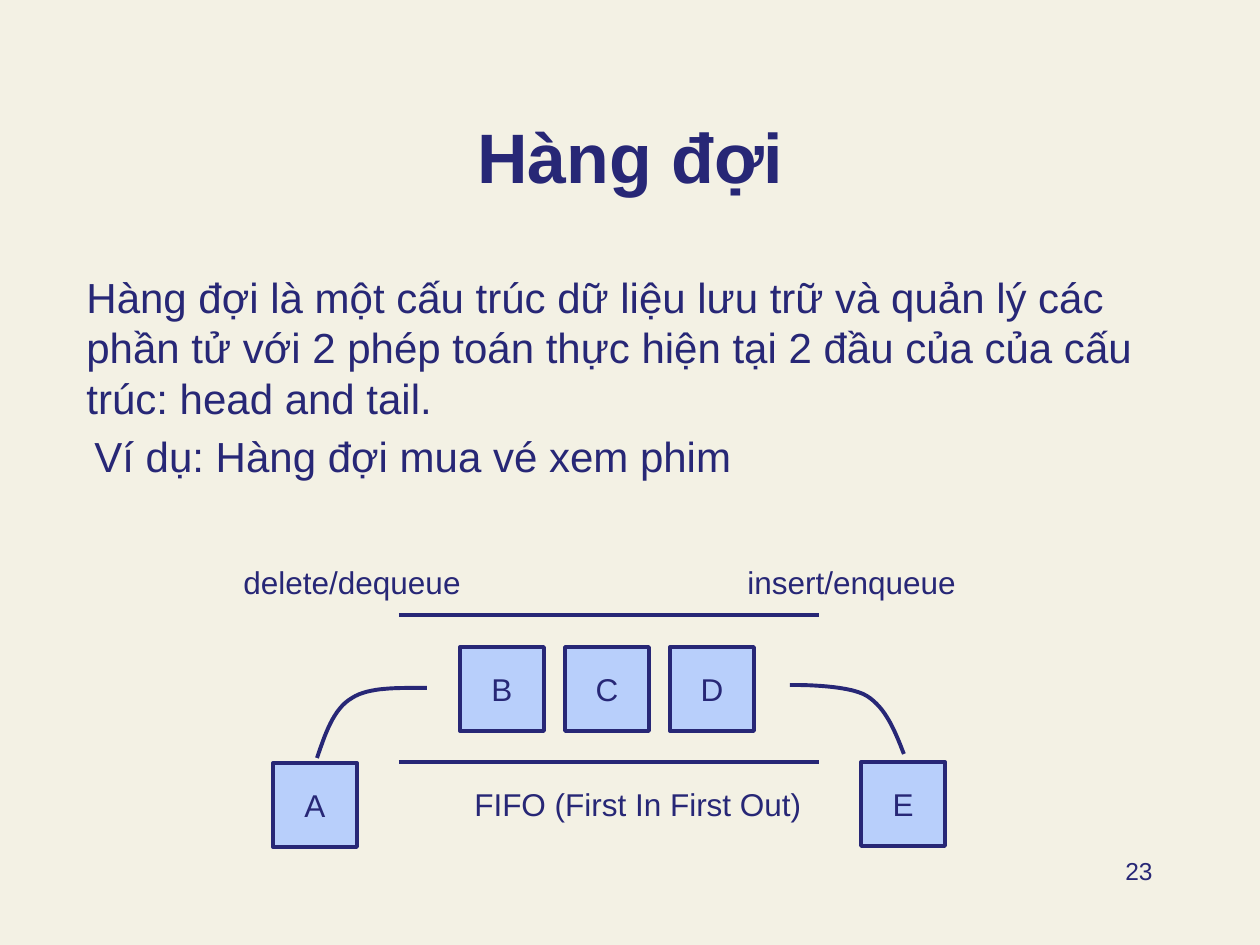
"""Builds a slide that explains the queue data structure with a FIFO diagram."""
import pptx
import pptx.util
import pptx.dml.color
import pptx.enum.shapes
import pptx.enum.text
import lxml.etree
import dataclasses


@dataclasses.dataclass(frozen=True)
class Theme:
    background: str = "F3F1E4"
    ink: str = "272776"
    box: str = "B8CFFB"
    font: str = "Arial"
    title: int = 40
    body: int = 24
    label: int = 18
    number: int = 14
    stroke: float = 2.25


theme = Theme()
PX = 914400 / 126
color = pptx.dml.color.RGBColor.from_string
align = pptx.enum.text.PP_ALIGN
anchor = pptx.enum.text.MSO_ANCHOR


def px(length):
    return pptx.util.Emu(round(length * PX))


def write(shape, lines, size, alignment, vertical, bold=False, wrap=True):
    frame = shape.text_frame
    frame.text = lines
    frame.word_wrap = wrap
    frame.vertical_anchor = vertical
    for paragraph in frame.paragraphs:
        paragraph.alignment = alignment
        for run in paragraph.runs:
            run.font.name = theme.font
            run.font.size = pptx.util.Pt(size)
            run.font.bold = bold
            run.font.color.rgb = color(theme.ink)
    return frame


deck = pptx.Presentation()
deck.slide_width, deck.slide_height = px(1260), px(945)
slide = deck.slides.add_slide(deck.slide_layouts[6])
slide.background.fill.solid()
slide.background.fill.fore_color.rgb = color(theme.background)
shapes = slide.shapes

title = shapes.add_textbox(px(95), px(68), px(1071), px(136))
write(title, "Hàng đợi", theme.title, align.CENTER, anchor.BOTTOM, bold=True)

definition = (
    "Hàng đợi là một cấu trúc dữ liệu lưu trữ và quản lý các phần tử với 2 phép toán "
    "thực hiện tại 2 đầu của của cấu trúc: head and tail."
)
example = "Ví dụ: Hàng đợi mua vé xem phim"
body = shapes.add_textbox(px(74), px(265), px(1091), px(261))
body_frame = write(body, f"{definition}\n{example}", theme.body, align.LEFT, anchor.TOP)
example_paragraph = body_frame.paragraphs[1]
example_paragraph.space_before = pptx.util.Pt(4.8)
example_properties = example_paragraph._p.get_or_add_pPr()
example_properties.set("marL", str(px(8)))
example_properties.set("indent", "0")

page_number = shapes.add_textbox(px(903), px(850), px(262), px(63))
write(page_number, "23", theme.number, align.RIGHT, anchor.TOP)

BOX, FIRST_LEFT, PITCH = 84, 460, 105
waiting = [(name, FIRST_LEFT + i * PITCH, 647) for i, name in enumerate("BCD")]
for name, left, top in waiting + [("A", 273, 763), ("E", 861, 762)]:
    element = shapes.add_shape(
        pptx.enum.shapes.MSO_SHAPE.RECTANGLE, px(left), px(top), px(BOX), px(BOX))
    element.shadow.inherit = False
    element.fill.solid()
    element.fill.fore_color.rgb = color(theme.box)
    element.line.color.rgb = color(theme.ink)
    element.line.width = pptx.util.Pt(theme.stroke)
    write(element, name, theme.label, align.CENTER, anchor.MIDDLE)

for rail_y in (615, 762):
    rail = shapes.add_connector(
        pptx.enum.shapes.MSO_CONNECTOR.STRAIGHT, px(399), px(rail_y), px(819), px(rail_y))
    rail.line.color.rgb = color(theme.ink)
    rail.line.width = pptx.util.Pt(theme.stroke)
    lxml.etree.SubElement(rail._element.spPr, pptx.oxml.ns.qn("a:effectLst"))

STEPS = 16
dequeue_curve = [(427, 688), (398, 688), (369, 687), (352, 698), (333, 709), (325, 735), (317, 758)]
enqueue_curve = [(904, 754), (895, 731), (886, 708), (867, 696), (848, 684), (790, 685), (790, 685)]
for controls in (dequeue_curve, enqueue_curve):
    points = []
    for first in (0, 3):
        segment = controls[first:first + 4]
        for step in range(1, STEPS + 1):
            t = step / STEPS
            weights = ((1 - t) ** 3, 3 * t * (1 - t) ** 2, 3 * t ** 2 * (1 - t), t ** 3)
            points.append(tuple(
                px(sum(w * point[axis] for w, point in zip(weights, segment)))
                for axis in (0, 1)))
    start_x, start_y = controls[0]
    outline = shapes.build_freeform(px(start_x), px(start_y))
    outline.add_line_segments(points, close=False)
    path_curve = outline.convert_to_shape()
    path_curve.shadow.inherit = False
    path_curve.fill.background()
    path_curve.line.color.rgb = color(theme.ink)
    path_curve.line.width = pptx.util.Pt(theme.stroke)

for caption, left, top, width in (
    ("insert/enqueue", 735, 557, 243),
    ("delete/dequeue", 231, 557, 244),
    ("FIFO (First In First Out)", 462, 779, 355),
):
    caption_box = shapes.add_textbox(px(left), px(top), px(width), px(50))
    write(caption_box, caption, theme.label, align.LEFT, anchor.TOP, wrap=False)

deck.save("out.pptx")
